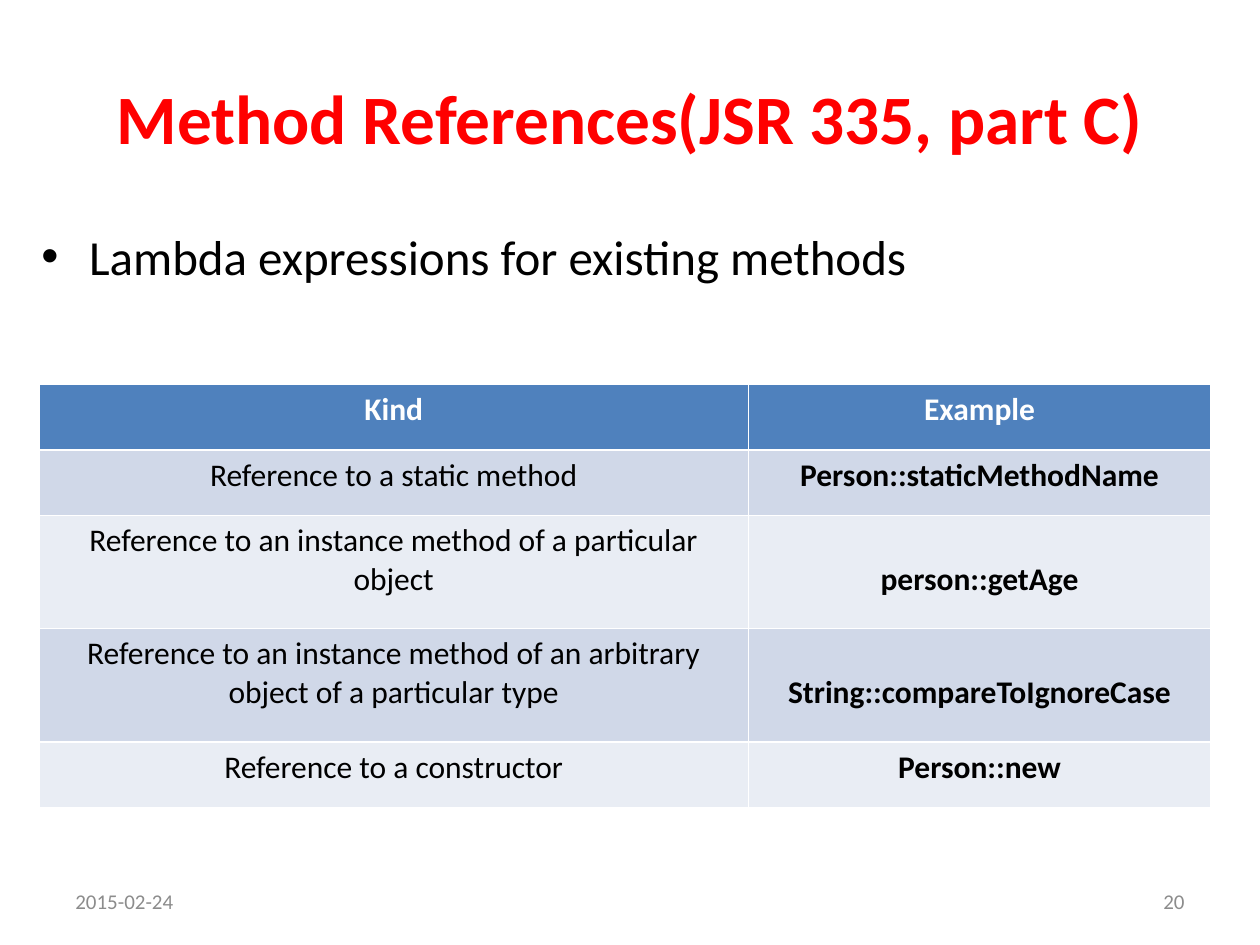
from lxml.etree import SubElement as Sub
from pptx import Presentation
from pptx.dml.color import RGBColor as RGB
from pptx.enum.text import MSO_ANCHOR as Anchor, PP_ALIGN as Align
from pptx.oxml.ns import qn
from pptx.util import Inches, Pt

HUES = {"title": "FF0000", "text": "000000", "foot": "8C8C8C", "white": "FFFFFF",
        "head": "4F81BD", "odd": "D0D8E8", "even": "E9EDF4"}
TITLE = "Method References(JSR 335, part C)"
POINT = "Lambda expressions for existing methods"
FOOTS = [("2015-02-24", 0.5, Align.LEFT), ("20", 7.17, Align.RIGHT)]
ROWS = [
    ("Kind", "Example"),
    ("Reference to a static method", "Person::staticMethodName"),
    ("Reference to an instance method of a particular object",
     "\nperson::getAge"),
    ("Reference to an instance method of an arbitrary object of a particular type",
     "\nString::compareToIgnoreCase"),
    ("Reference to a constructor", "Person::new"),
]
WIDTHS = [5.63, 3.67]
HEIGHTS = [0.52, 0.52, 0.9, 0.9, 0.52]


def write(frame, text, hue, size, align=Align.LEFT, bold=False):
    para = frame.paragraphs[0]
    para.text = text
    para.alignment = align
    look = {"name": "Calibri", "size": Pt(size), "bold": bold}
    for run in para.runs:
        for key, value in look.items():
            setattr(run.font, key, value)
        run.font.color.rgb = RGB.from_string(HUES[hue])
    return para


def add_box(slide, area, anchor):
    frame = slide.shapes.add_textbox(*map(Inches, area)).text_frame
    frame.word_wrap = True
    frame.vertical_anchor = anchor
    return frame


def add_bullet(para, indent):
    props = para._p.get_or_add_pPr()
    props.set("marL", str(Inches(indent)))
    props.set("indent", str(-Inches(indent)))
    Sub(props, qn("a:buFont"), typeface="Arial")
    Sub(props, qn("a:buChar"), char="•")


def add_edges(cell):
    """Rule all four sides; call before the fill, which must follow in the XML."""
    props = cell._tc.get_or_add_tcPr()
    for side in "LRTB":
        line = Sub(props, qn("a:ln" + side), w=str(Pt(1)))
        Sub(Sub(line, qn("a:solidFill")), qn("a:srgbClr"), val=HUES["white"])


def add_grid(slide):
    area = (0.31, 3.05, sum(WIDTHS), sum(HEIGHTS))
    table = slide.shapes.add_table(len(ROWS), len(WIDTHS), *map(Inches, area)).table
    for col, width in zip(table.columns, WIDTHS):
        col.width = Inches(width)
    for r, (row, height) in enumerate(zip(ROWS, HEIGHTS)):
        table.rows[r].height = Inches(height)
        fill = "head" if r == 0 else "odd" if r % 2 else "even"
        for c, text in enumerate(row):
            cell = table.cell(r, c)
            write(cell.text_frame, text, "text" if r else "white", 18,
                  Align.CENTER, r == 0 or c == 1)
            add_edges(cell)
            cell.fill.solid()
            cell.fill.fore_color.rgb = RGB.from_string(HUES[fill])


def main():
    deck = Presentation()
    deck.slide_width, deck.slide_height = Inches(10), Inches(7.5)
    slide = deck.slides.add_slide(deck.slide_layouts[5])

    title = slide.shapes.title
    place = {"left": 0.5, "top": 0.3, "width": 9, "height": 1.25}
    for key, value in place.items():
        setattr(title, key, Inches(value))
    title.text_frame.vertical_anchor = Anchor.MIDDLE
    write(title.text_frame, TITLE, "title", 39.6, Align.CENTER, True)

    body = add_box(slide, (0.23, 1.75, 9.53, 5.13), Anchor.TOP)
    para = write(body, POINT, "text", 28)
    para.space_before = Pt(5.6)
    add_bullet(para, 0.38)

    for text, left, align in FOOTS:
        foot = add_box(slide, (left, 6.95, 2.33, 0.4), Anchor.MIDDLE)
        write(foot, text, "foot", 12, align)

    add_grid(slide)
    deck.save("out.pptx")


if __name__ == "__main__":
    main()
